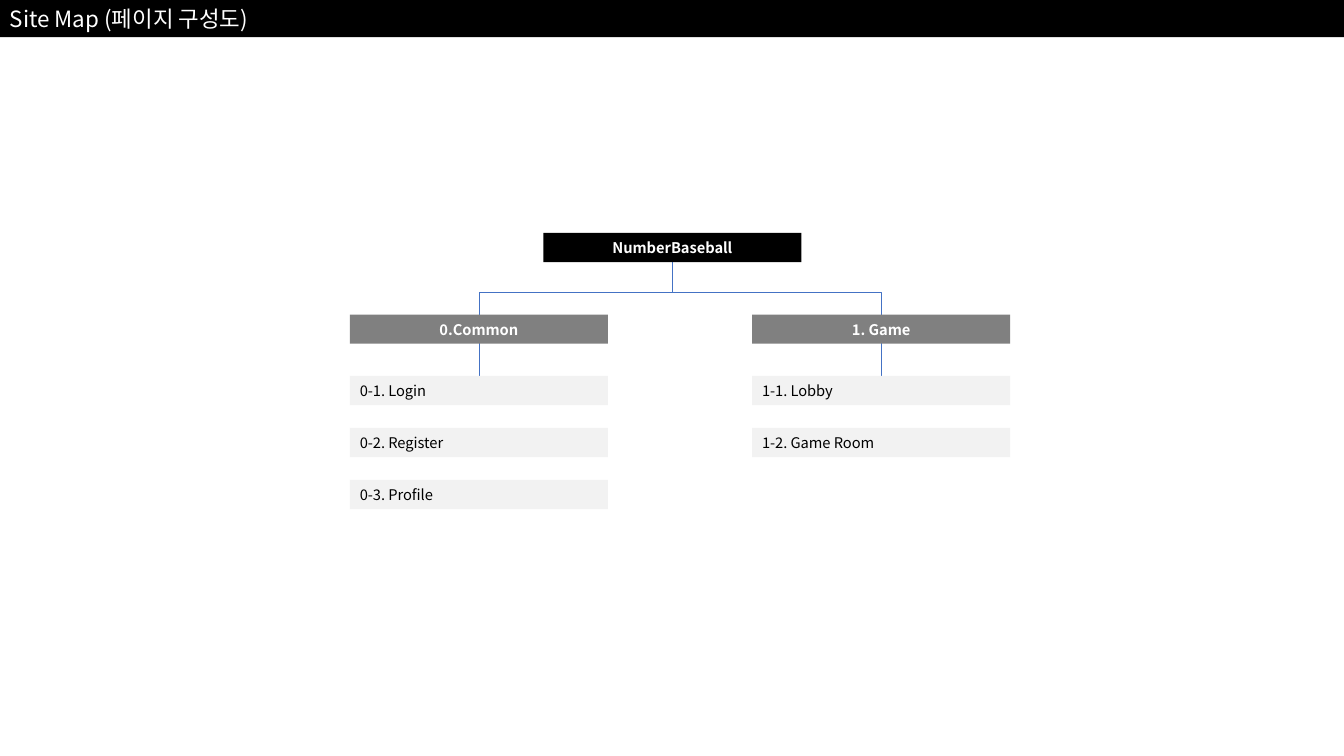
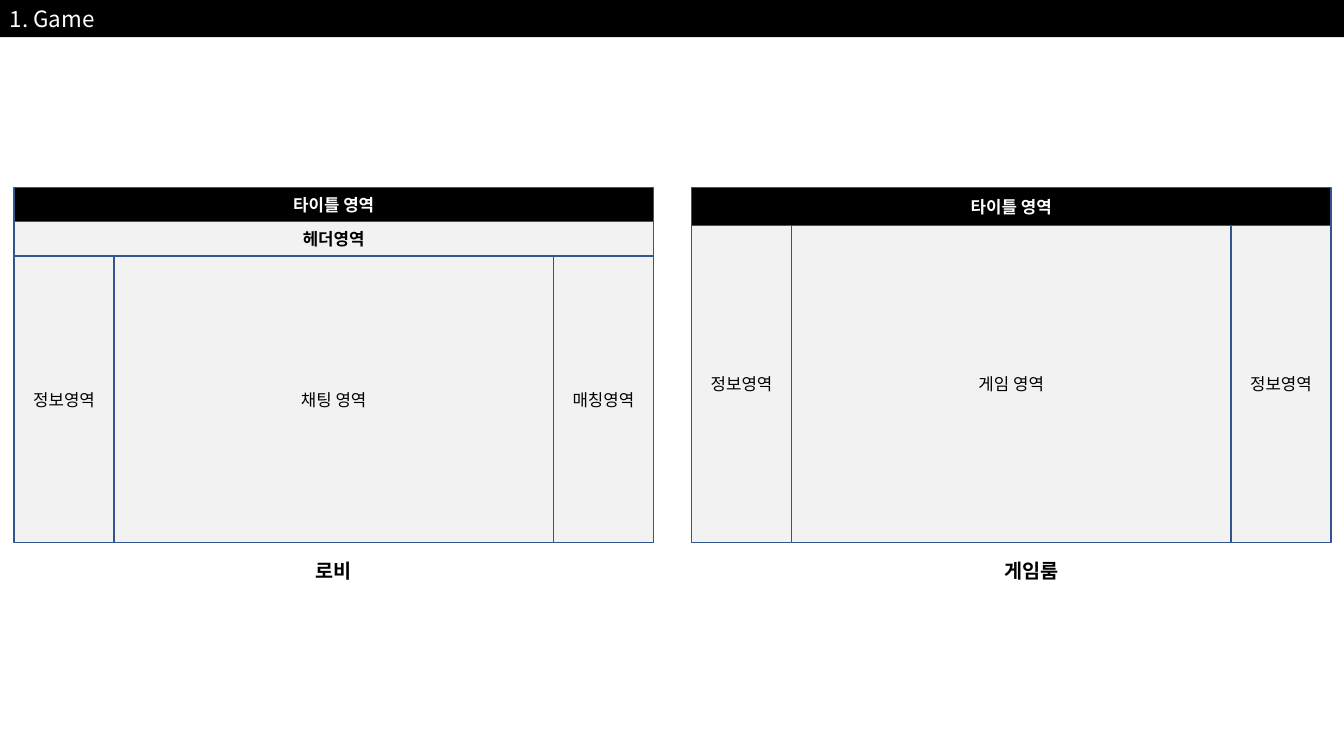
from lxml import etree
from pptx import Presentation
from pptx.dml.color import RGBColor
from pptx.enum.shapes import MSO_CONNECTOR, MSO_SHAPE
from pptx.enum.text import MSO_ANCHOR, PP_ALIGN
from pptx.oxml.ns import qn
from pptx.util import Inches, Pt

RECTANGLE = MSO_SHAPE.RECTANGLE
ELBOW = MSO_CONNECTOR.ELBOW
MIDDLE = MSO_ANCHOR.MIDDLE
LEFT, CENTER = PP_ALIGN.LEFT, PP_ALIGN.CENTER

FONT = "Noto Sans CJK KR"
BLACK, WHITE, GRAY, PALE = "000000", "FFFFFF", "808080", "F2F2F2"
BRANCH_BLUE, BORDER_BLUE = "4472C4", "325491"
SLIDE_WIDTH, SLIDE_HEIGHT = 13.33, 7.5


def color(value):
    return RGBColor.from_string(value)


def write_text(shape, text, size=12, ink=BLACK, bold=False, align=CENTER):
    frame = shape.text_frame
    frame.word_wrap = True
    frame.vertical_anchor = MIDDLE
    paragraph = frame.paragraphs[0]
    paragraph.alignment = align
    run = paragraph.add_run()
    run.text = text
    run.font.size = Pt(size)
    run.font.bold = bold
    run.font.color.rgb = color(ink)
    run.font.name = FONT
    east_asian = etree.SubElement(run.font._element, qn("a:ea"))
    east_asian.set("typeface", FONT)


class Deck:
    def __init__(self):
        self.presentation = Presentation()
        self.presentation.slide_width = Inches(SLIDE_WIDTH)
        self.presentation.slide_height = Inches(SLIDE_HEIGHT)
        self.slide = None

    def add_slide(self, title):
        blank = self.presentation.slide_layouts[6]
        self.slide = self.presentation.slides.add_slide(blank)
        self.box(title, 0, 0, SLIDE_WIDTH, 0.37, fill=BLACK,
                 ink=WHITE, size=16, align=LEFT)

    def box(self, text, left, top, width, height, fill=PALE, border=None, **style):
        shape = self.slide.shapes.add_shape(
            RECTANGLE, Inches(left), Inches(top), Inches(width), Inches(height))
        shape.shadow.inherit = False
        shape.fill.solid()
        shape.fill.fore_color.rgb = color(fill)
        if border:
            shape.line.color.rgb = color(border)
            shape.line.width = Pt(1)
        else:
            shape.line.fill.background()
        write_text(shape, text, **style)

    def caption(self, text, left, top, width, height, **style):
        shape = self.slide.shapes.add_textbox(
            Inches(left), Inches(top), Inches(width), Inches(height))
        write_text(shape, text, **style)

    def branch(self, start_x, start_y, end_x, end_y, bend):
        """Elbow that leaves downwards: a sideways elbow turned a quarter."""
        middle_x, middle_y = (start_x + end_x) / 2, (start_y + end_y) / 2
        half_run = (end_y - start_y) / 2
        half_rise = abs(end_x - start_x) / 2
        to_right = end_x > start_x
        if to_right:
            half_run = -half_run
        connector = self.slide.shapes.add_connector(
            ELBOW,
            Inches(middle_x - half_run), Inches(middle_y - half_rise),
            Inches(middle_x + half_run), Inches(middle_y + half_rise))
        connector.line.color.rgb = color(BRANCH_BLUE)
        connector.line.width = Pt(0.5)
        properties = connector._element.spPr
        degrees = 270 if to_right else 90
        properties.find(qn("a:xfrm")).set("rot", str(degrees * 60000))
        adjustments = properties.find(qn("a:prstGeom")).get_or_add_avLst()
        guide = etree.SubElement(adjustments, qn("a:gd"))
        guide.set("name", "adj1")
        guide.set("fmla", f"val {round(bend * 100000)}")
        etree.SubElement(properties, qn("a:effectLst"))


deck = Deck()

# Site map: root, sections and their pages
NODE_WIDTH, NODE_HEIGHT = 2.56, 0.29
ROOT_LEFT, ROOT_TOP = 5.39, 2.31
SECTION_TOP, PAGE_TOP, PAGE_STEP = 3.12, 3.73, 0.515
SECTIONS = [
    (3.47, "0.Common", ["0-1. Login", "0-2. Register", "0-3. Profile"]),
    (7.46, "1. Game", ["1-1. Lobby", "1-2. Game Room"]),
]
HEADING = dict(size=10.5, ink=WHITE, bold=True)

deck.add_slide("Site Map (페이지 구성도)")
for left, _, _ in SECTIONS:
    deck.branch(ROOT_LEFT + NODE_WIDTH / 2, ROOT_TOP + NODE_HEIGHT,
                left + NODE_WIDTH / 2, PAGE_TOP, bend=0.27)
deck.box("NumberBaseball", ROOT_LEFT, ROOT_TOP, NODE_WIDTH, NODE_HEIGHT,
         fill=BLACK, **HEADING)
for left, section, pages in SECTIONS:
    deck.box(section, left, SECTION_TOP, NODE_WIDTH, NODE_HEIGHT,
             fill=GRAY, **HEADING)
    for row, page in enumerate(pages):
        deck.box(page, left, PAGE_TOP + row * PAGE_STEP, NODE_WIDTH, NODE_HEIGHT,
                 size=10.5, align=LEFT)

# Game: wireframes of the two screens
SCREEN_TOP, SCREEN_BOTTOM, SCREEN_WIDTH = 1.86, 5.385, 6.34
COLUMN_WIDTHS = [0.99, 4.36, 0.99]
TITLE_BAND = ("타이틀 영역", BLACK, WHITE)
HEADER_BAND = ("헤더영역", PALE, BLACK)
SCREENS = [
    # left, band height, bands, columns, caption, caption left
    (0.14, 0.34, [TITLE_BAND, HEADER_BAND],
     ["정보영역", "채팅 영역", "매칭영역"], "로비", 2),
    (6.86, 0.375, [TITLE_BAND],
     ["정보영역", "게임 영역", "정보영역"], "게임룸", 8.93),
]

deck.add_slide("1. Game")
for left, band_height, bands, columns, name, name_left in SCREENS:
    body_top = SCREEN_TOP + band_height * len(bands)
    column_left = left
    for text, width in zip(columns, COLUMN_WIDTHS):
        deck.box(text, column_left, body_top, width, SCREEN_BOTTOM - body_top,
                 border=BORDER_BLUE)
        column_left += width
    for row, (text, fill, ink) in enumerate(bands):
        deck.box(text, left, SCREEN_TOP + row * band_height, SCREEN_WIDTH,
                 band_height, fill=fill, border=BORDER_BLUE, ink=ink, bold=True)
    deck.caption(name, name_left, 5.49, 2.61, 0.34, size=14, bold=True)

deck.presentation.save("out.pptx")
